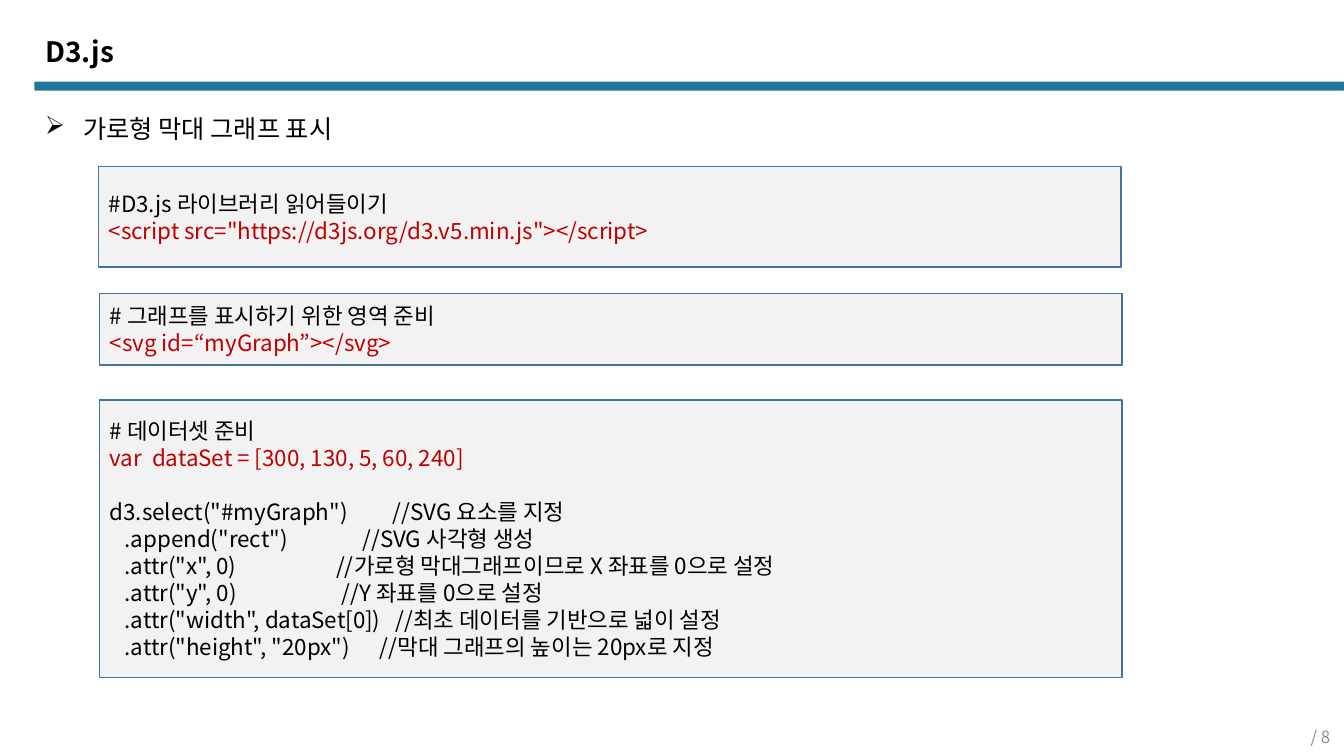
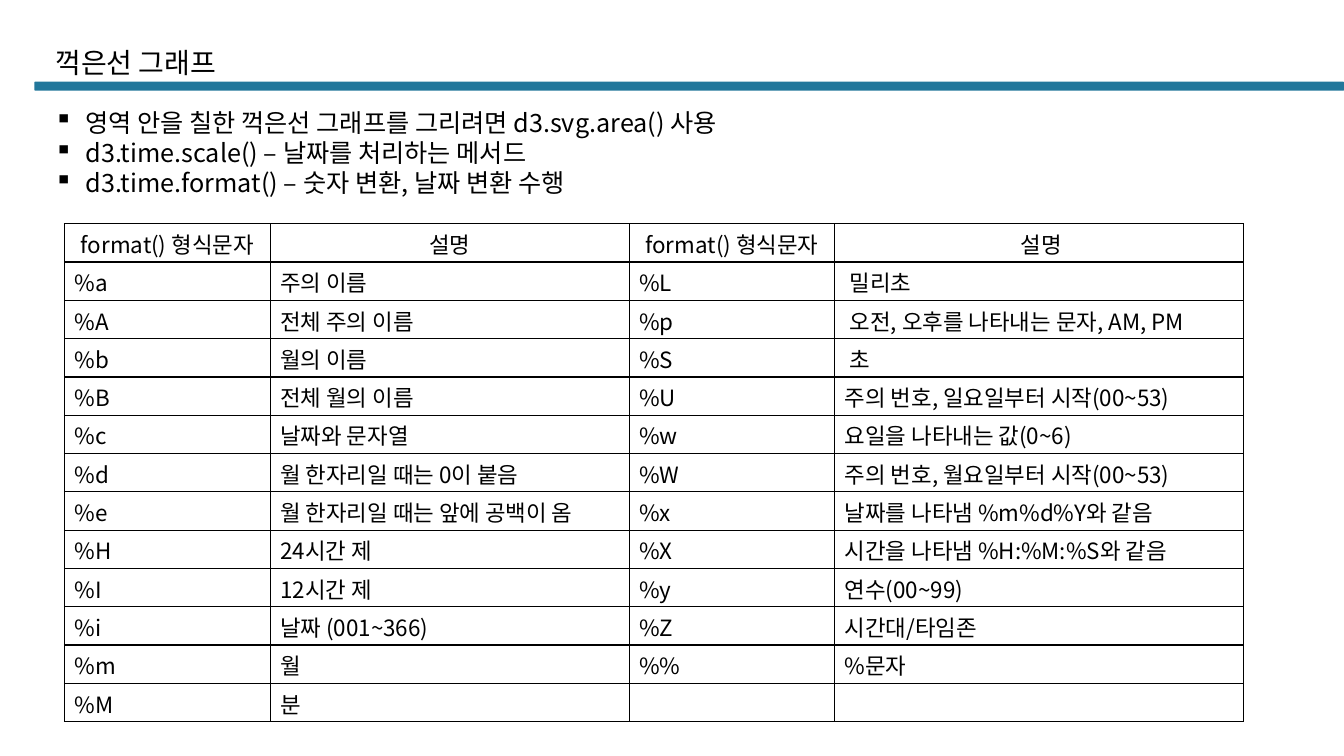
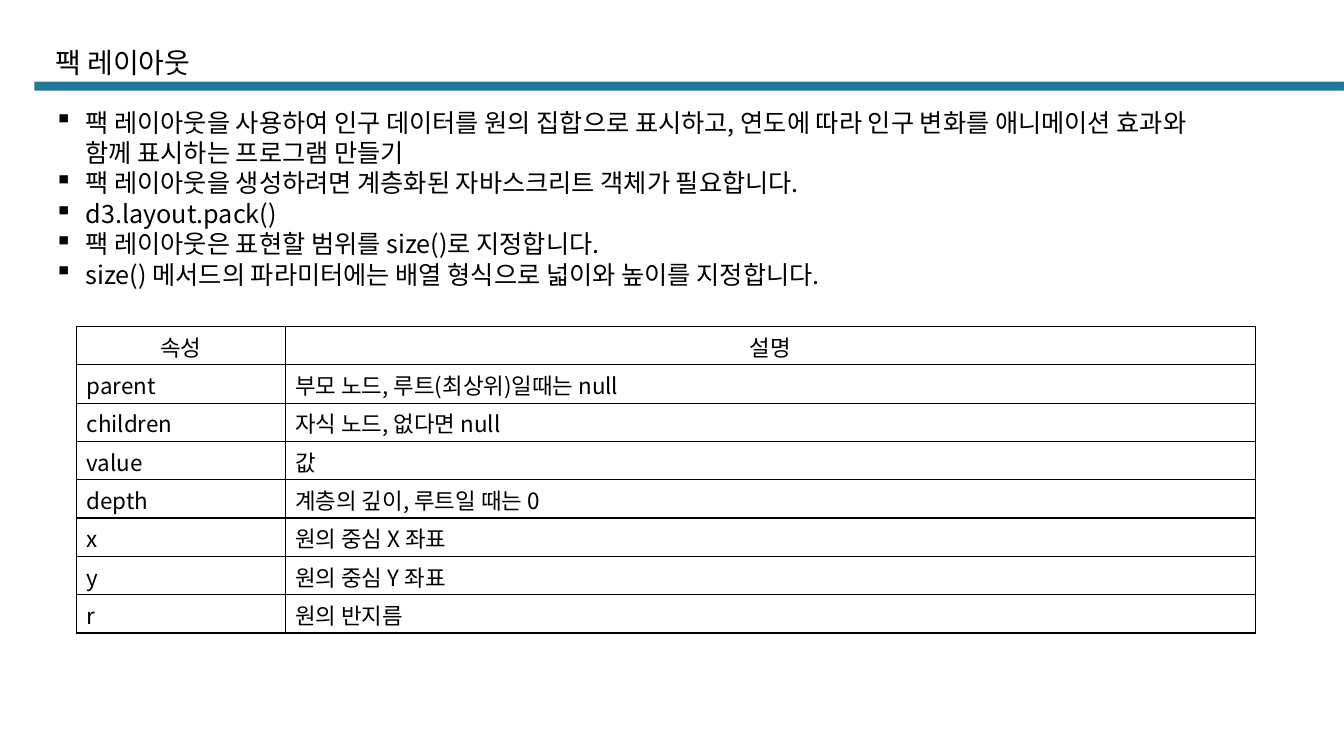
from lxml import etree
from pptx import Presentation
from pptx.dml.color import RGBColor
from pptx.enum.shapes import MSO_SHAPE
from pptx.enum.text import MSO_ANCHOR, PP_ALIGN
from pptx.oxml import parse_xml
from pptx.oxml.ns import nsdecls, qn
from pptx.util import Inches, Pt

RECT, ROUND = MSO_SHAPE.RECTANGLE, MSO_SHAPE.ROUNDED_RECTANGLE
TOP, MIDDLE = MSO_ANCHOR.TOP, MSO_ANCHOR.MIDDLE
LEFT, CENTER, RIGHT = PP_ALIGN.LEFT, PP_ALIGN.CENTER, PP_ALIGN.RIGHT

BLACK = RGBColor(0x00, 0x00, 0x00)
RED = RGBColor(0xC0, 0x00, 0x00)
GRAY = RGBColor(0x8C, 0x8C, 0x8C)
PALE = RGBColor(0xF2, 0xF2, 0xF2)
BLUE = RGBColor(0x43, 0x73, 0x9E)
TEAL = RGBColor(0x22, 0x77, 0x9B)

FONT = "Noto Sans CJK KR"
PITCH = 1.205  # line height in ems
ROW = 0.38

prs = Presentation()
prs.slide_width, prs.slide_height = Inches(13.33), Inches(7.5)


def write(par, text, size, color=BLACK, bold=False, align=LEFT, lead=1):
    """Fill one paragraph with one styled run."""
    par.alignment = align
    par.line_spacing = Pt(round(size * PITCH * lead, 1))
    run = par.add_run()
    run.text = text
    for name, value in {"name": FONT, "size": Pt(size), "bold": bold}.items():
        setattr(run.font, name, value)
    run.font.color.rgb = color
    east = etree.SubElement(run.font._element, qn("a:ea"))
    east.set("typeface", FONT)


def frame(shape, anchor=TOP):
    """Prepare the text frame of a shape for wrapped text."""
    body = shape.text_frame
    for name, value in {"word_wrap": True, "vertical_anchor": anchor}.items():
        setattr(body, name, value)
    return body


# Content of the three slides
code = [
    (0.98, 1.65, 1.0, [
        ("#D3.js 라이브러리 읽어들이기", BLACK),
        ('<script src="https://d3js.org/d3.v5.min.js"></script>', RED),
    ]),
    (0.99, 2.91, 0.71, [
        ("# 그래프를 표시하기 위한 영역 준비", BLACK),
        ("<svg id=“myGraph”></svg>", RED),
    ]),
    (0.99, 3.97, 2.75, [
        ("# 데이터셋 준비", BLACK),
        ("var  dataSet = [300, 130, 5, 60, 240]", RED),
        ('d3.select("#myGraph")         //SVG 요소를 지정', BLACK),
        ('   .append("rect")               //SVG 사각형 생성', BLACK),
        ('   .attr("x", 0)                    //가로형 막대그래프이므로 X 좌표를 0으로 설정', BLACK),
        ('   .attr("y", 0)                     //Y 좌표를 0으로 설정', BLACK),
        ('   .attr("width", dataSet[0])   //최초 데이터를 기반으로 넓이 설정', BLACK),
        ('   .attr("height", "20px")      //막대 그래프의 높이는 20px로 지정', BLACK),
    ]),
]
signs = [
    ("format() 형식문자", "설명", "format() 형식문자", " 설명"),
    ("%a", "주의 이름", "%L", " 밀리초"),
    ("%A", "전체 주의 이름", "%p", " 오전, 오후를 나타내는 문자, AM, PM"),
    ("%b", "월의 이름", "%S", " 초"),
    ("%B", "전체 월의 이름", "%U", "주의 번호, 일요일부터 시작(00~53)"),
    ("%c", "날짜와 문자열", "%w", "요일을 나타내는 값(0~6)"),
    ("%d", "월 한자리일 때는 0이 붙음", "%W", "주의 번호, 월요일부터 시작(00~53)"),
    ("%e", "월 한자리일 때는 앞에 공백이 옴", "%x", "날짜를 나타냄 %m%d%Y와 같음"),
    ("%H", "24시간 제", "%X", "시간을 나타냄 %H:%M:%S와 같음"),
    ("%I", "12시간 제", "%y", "연수(00~99)"),
    ("%i", "날짜 (001~366)", "%Z", "시간대/타임존"),
    ("%m", "월", "%%", "%문자"),
    ("%M", "분", "", ""),
]
traits = [
    ("속성", "설명"),
    ("parent", "부모 노드, 루트(최상위)일때는 null"),
    ("children", "자식 노드, 없다면 null"),
    ("value", "값"),
    ("depth", "계층의 깊이, 루트일 때는 0"),
    ("x", "원의 중심 X 좌표"),
    ("y", "원의 중심 Y 좌표"),
    ("r", "원의 반지름"),
]
pages = [
    {
        "title": ("D3.js", 0.35, 0.33, 7.9, True),
        "list": (0.35, 1.07, 12.24, 0.4, 0.38, "➢"),
        "points": ["가로형 막대 그래프 표시"],
        "code": code,
        "foot": "/ 8 ",
    },
    {
        "title": ("꺽은선 그래프", 0.45, 0.43, 12, False),
        "list": (0.44, 1.01, 11.73, 1.01, 0.31, "▪"),
        "points": [
            "영역 안을 칠한 꺽은선 그래프를 그리려면 d3.svg.area() 사용",
            "d3.time.scale() – 날짜를 처리하는 메서드",
            "d3.time.format() – 숫자 변환, 날짜 변환 수행",
        ],
        "table": (0.64, 2.22, (2.04, 3.56, 2.04, 4.05), signs),
    },
    {
        "title": ("팩 레이아웃", 0.45, 0.43, 12, False),
        "list": (0.44, 1.01, 11.73, 1.92, 0.31, "▪"),
        "points": [
            "팩 레이아웃을 사용하여 인구 데이터를 원의 집합으로 표시하고, 연도에 따라 "
            "인구 변화를 애니메이션 효과와 함께 표시하는 프로그램 만들기",
            "팩 레이아웃을 생성하려면 계층화된 자바스크리트 객체가 필요합니다.",
            "d3.layout.pack()",
            "팩 레이아웃은 표현할 범위를 size()로 지정합니다.",
            "size() 메서드의 파라미터에는 배열 형식으로 넓이와 높이를 지정합니다.",
        ],
        "table": (0.76, 3.24, (2.07, 9.62), traits),
    },
]

for page in pages:
    slide = prs.slides.add_slide(prs.slide_layouts[6])
    shapes = slide.shapes

    # Band under the title
    band = shapes.add_shape(ROUND, Inches(0.34), Inches(0.81), Inches(12.99), Inches(0.09))
    band.adjustments[0] = 0.13
    band.shadow.inherit = False
    band.fill.solid()
    band.fill.fore_color.rgb = TEAL
    band.line.fill.background()

    # Title
    text, x, y, w, bold = page["title"]
    box = shapes.add_textbox(Inches(x), Inches(y), Inches(w), Inches(0.47))
    write(frame(box).paragraphs[0], text, 20, bold=bold, lead=0.9)

    # Bulleted list
    x, y, w, h, indent, mark = page["list"]
    body = frame(shapes.add_textbox(Inches(x), Inches(y), Inches(w), Inches(h)))
    for i, text in enumerate(page["points"]):
        par = body.add_paragraph() if i else body.paragraphs[0]
        props = par._p.get_or_add_pPr()
        props.set("marL", str(Inches(indent)))
        props.set("indent", str(-Inches(indent)))
        etree.SubElement(props, qn("a:buChar")).set("char", mark)
        write(par, text, 18)

    # Code boxes
    for x, y, h, lines in page.get("code", []):
        box = shapes.add_shape(RECT, Inches(x), Inches(y), Inches(10.14), Inches(h))
        box.shadow.inherit = False
        box.fill.solid()
        box.fill.fore_color.rgb = PALE
        box.line.color.rgb = BLUE
        box.line.width = Pt(1)
        body = frame(box, MIDDLE)
        for i, (text, color) in enumerate(lines):
            par = body.add_paragraph() if i else body.paragraphs[0]
            write(par, text, 16, color)
            if text.startswith("d3.select"):
                par.space_before = Pt(19.3)

    # Table
    if "table" in page:
        x, y, widths, rows = page["table"]
        table = shapes.add_table(
            len(rows), len(widths), Inches(x), Inches(y),
            Inches(sum(widths)), Inches(ROW * len(rows))).table
        table.first_row = table.horz_banding = False
        for col, w in zip(table.columns, widths):
            col.width = Inches(w)
        for r, row in enumerate(rows):
            table.rows[r].height = Inches(ROW)
            for c, text in enumerate(row):
                cell = table.cell(r, c)
                cell.margin_top, cell.margin_bottom = Inches(0.09), Inches(0.02)
                for side in "LRTB":
                    cell._tc.get_or_add_tcPr().append(parse_xml(
                        f'<a:ln{side} {nsdecls("a")} w="12700"><a:solidFill>'
                        f'<a:srgbClr val="{BLACK}"/></a:solidFill></a:ln{side}>'))
                cell.fill.background()
                par = cell.text_frame.paragraphs[0]
                if text:
                    write(par, text, 16, align=LEFT if r else CENTER)
                else:
                    par.font.size = Pt(12)

    # Page number
    if "foot" in page:
        box = shapes.add_textbox(Inches(10.22), Inches(7.19), Inches(3.11), Inches(0.23))
        write(frame(box, MIDDLE).paragraphs[0], page["foot"], 12, GRAY, align=RIGHT)

prs.save("out.pptx")
